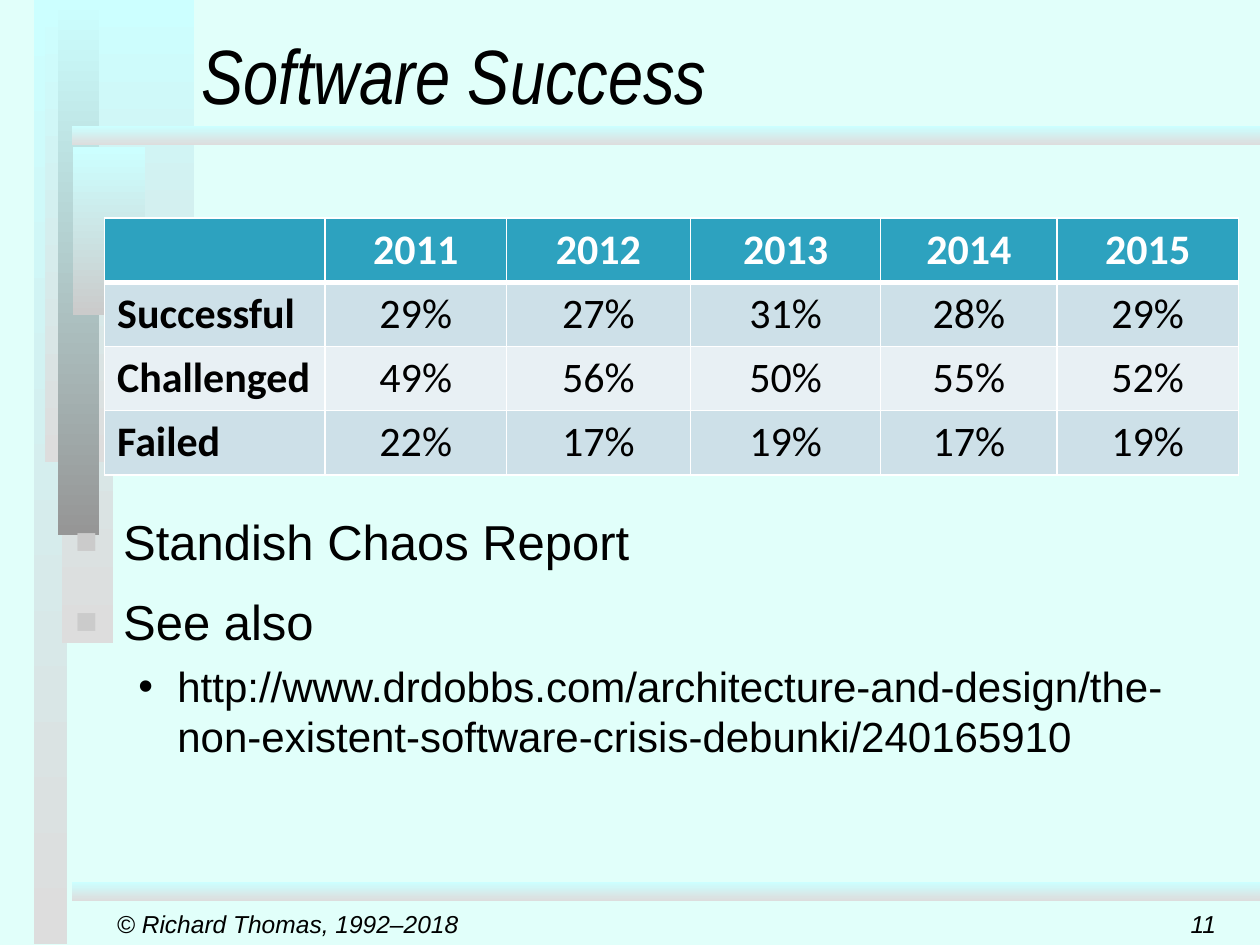
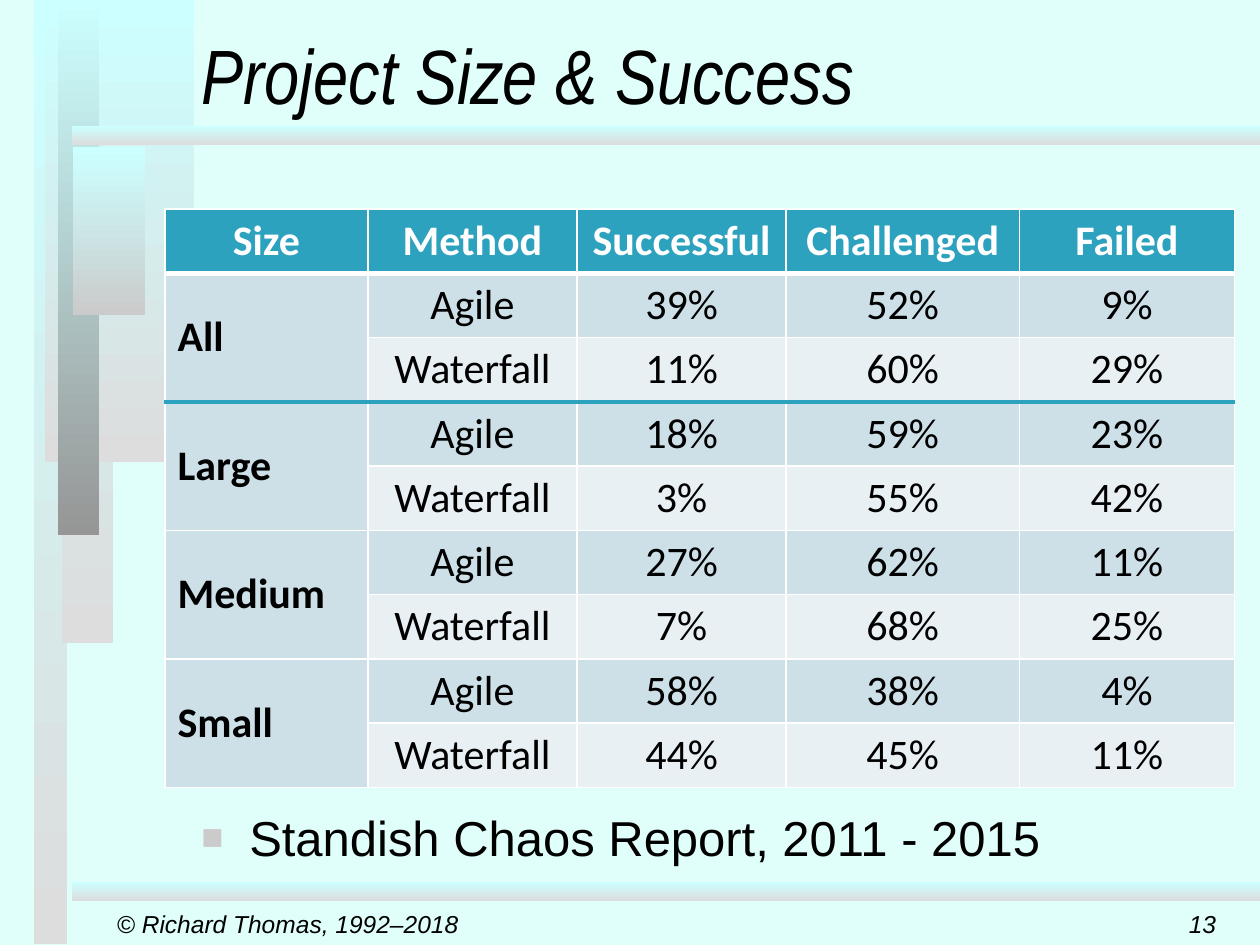
from dataclasses import dataclass
from typing import NamedTuple

import pptx
import pptx.dml.color
import pptx.enum.shapes
import pptx.enum.text
import pptx.oxml
import pptx.oxml.ns
import pptx.oxml.xmlchemy
import pptx.presentation
import pptx.slide
import pptx.table
import pptx.text.text
import pptx.util

Inches = pptx.util.Inches
Pt = pptx.util.Pt
RGBColor = pptx.dml.color.RGBColor
ALIGN = pptx.enum.text.PP_ALIGN
ANCHOR = pptx.enum.text.MSO_ANCHOR

# Shared colours
MINT = RGBColor(0xE1, 0xFF, 0xFA)
AQUA = RGBColor(0xCC, 0xFF, 0xFF)
PALE_GREY = RGBColor(0xDD, 0xDD, 0xDD)
MID_GREY = RGBColor(0xCB, 0xCB, 0xCB)
DARK_GREY = RGBColor(0x96, 0x96, 0x96)
BLACK = RGBColor(0, 0, 0)
WHITE = RGBColor(0xFF, 0xFF, 0xFF)
TEAL = RGBColor(0x2D, 0xA2, 0xBF)
ODD_ROW = RGBColor(0xCD, 0xE0, 0xE8)
EVEN_ROW = RGBColor(0xE8, 0xF0, 0xF4)

COPYRIGHT = "© Richard Thomas, 1992–2018"
ROW_HEIGHT = 0.51


class Box(NamedTuple):
    left: float
    top: float
    width: float
    height: float

    def lengths(self) -> list[pptx.util.Length]:
        return [Inches(value) for value in self]


class Band(NamedTuple):
    box: Box
    end: RGBColor = PALE_GREY


class TextStyle(NamedTuple):
    font: str
    size: int
    color: RGBColor = BLACK
    bold: bool = False
    italic: bool = False


class Level(NamedTuple):
    bullet: str
    color: RGBColor
    percent: int
    margin: float
    hanging: float
    before: int
    style: TextStyle


class Point(NamedTuple):
    text: str
    level: Level


@dataclass
class Grid:
    left: float
    top: float
    widths: list[float]
    rows: list[list[str]]
    group: int = 1  # body rows that share one row label
    ruled_row: int | None = None  # row closed by a teal rule


BANDS = [
    Band(Box(0.27, 0, 0.26, 7.49)),
    Band(Box(0.49, 0, 0.41, 5.1)),
    Band(Box(0.36, 0, 1.18, 3.67)),
    Band(Box(0.46, 0, 0.33, 4.25), DARK_GREY),
    Band(Box(0.58, 1.17, 0.57, 1.33), MID_GREY),
    Band(Box(0.57, 1, 9.43, 0.15)),
    Band(Box(0.57, 7, 9.43, 0.15)),
]

TITLE = TextStyle("Arial Narrow", 44, italic=True)
FOOTER = TextStyle("Arial", 14, italic=True)
HEADING_CELL = TextStyle("Calibri", 24, WHITE, bold=True)
LABEL_CELL = TextStyle("Calibri", 24, bold=True)
VALUE_CELL = TextStyle("Calibri", 24)
MAIN = Level("■", MID_GREY, 75, 0.38, 0.38, 12, TextStyle("Arial", 28))
SUB = Level("•", BLACK, 100, 0.81, 0.31, 6, TextStyle("Arial", 24))


def set_style(paragraph: pptx.text.text._Paragraph, style: TextStyle) -> None:
    font = paragraph.font
    font.name, font.size = style.font, Pt(style.size)
    font.bold, font.italic = style.bold, style.italic
    font.color.rgb = style.color


def add_child(parent: pptx.oxml.xmlchemy.BaseOxmlElement, tag: str,
              **attributes: str) -> pptx.oxml.xmlchemy.BaseOxmlElement:
    child = parent.makeelement(pptx.oxml.ns.qn(tag), attributes)
    parent.append(child)
    return child


def add_band(slide: pptx.slide.Slide, band: Band) -> None:
    bar = slide.shapes.add_shape(
        pptx.enum.shapes.MSO_SHAPE.RECTANGLE, *band.box.lengths())
    bar.shadow.inherit = False
    bar.line.fill.background()
    bar.fill.gradient()
    bar.fill.gradient_angle = 270
    for stop, color, position in zip(
            bar.fill.gradient_stops, (AQUA, band.end), (0, 1)):
        stop.color.rgb, stop.position = color, position


def add_text(slide: pptx.slide.Slide, box: Box, text: str, style: TextStyle,
             anchor: ANCHOR, align: ALIGN = ALIGN.LEFT) -> None:
    frame = slide.shapes.add_textbox(*box.lengths()).text_frame
    frame.word_wrap, frame.vertical_anchor = True, anchor
    paragraph = frame.paragraphs[0]
    paragraph.text, paragraph.alignment = text, align
    set_style(paragraph, style)


def add_points(slide: pptx.slide.Slide, box: Box, points: list[Point]) -> None:
    frame = slide.shapes.add_textbox(*box.lengths()).text_frame
    frame.word_wrap = True
    for index, (text, level) in enumerate(points):
        paragraph = frame.add_paragraph() if index else frame.paragraphs[0]
        paragraph.text = text
        properties = paragraph._p.get_or_add_pPr()
        properties.set("marL", str(Inches(level.margin)))
        properties.set("indent", str(-Inches(level.hanging)))
        bullet_color = add_child(properties, "a:buClr")
        add_child(bullet_color, "a:srgbClr", val=str(level.color))
        add_child(properties, "a:buSzPct", val=str(level.percent * 1000))
        add_child(properties, "a:buFont", typeface="Arial")
        add_child(properties, "a:buChar", char=level.bullet)
        if index:
            paragraph.space_before = Pt(level.before)
        set_style(paragraph, level.style)


def add_border(cell: pptx.table._Cell, side: str, color: RGBColor,
               points: int) -> None:
    line = add_child(cell._tc.get_or_add_tcPr(), f"a:ln{side}",
                     w=str(Pt(points)))
    fill = add_child(line, "a:solidFill")
    add_child(fill, "a:srgbClr", val=str(color))


def add_grid(slide: pptx.slide.Slide, grid: Grid) -> None:
    box = Box(grid.left, grid.top, sum(grid.widths),
              ROW_HEIGHT * len(grid.rows))
    table = slide.shapes.add_table(
        len(grid.rows), len(grid.widths), *box.lengths()).table
    table.first_row = table.horz_banding = False
    for column, width in zip(table.columns, grid.widths):
        column.width = Inches(width)
    if grid.group > 1:
        for top in range(1, len(grid.rows), grid.group):
            table.cell(top, 0).merge(table.cell(top + grid.group - 1, 0))

    # Rules below the heading row and the ruled row are heavier
    rules = {0: (WHITE, 3), grid.ruled_row: (TEAL, 3)}
    thin = (WHITE, 1)
    for row, texts in enumerate(grid.rows):
        for column, text in enumerate(texts):
            cell = table.cell(row, column)
            last = row + cell.span_height - 1 if cell.is_merge_origin else row
            add_border(cell, "L", *thin)
            add_border(cell, "R", *thin)
            add_border(cell, "T", *rules.get(row - 1, thin))
            add_border(cell, "B", *rules.get(last, thin))
            is_label = row > 0 and column == 0
            if row == 0:
                fill, style = TEAL, HEADING_CELL
            else:
                odd = row % 2 == 1 or cell.is_spanned
                fill = ODD_ROW if odd else EVEN_ROW
                style = LABEL_CELL if is_label else VALUE_CELL
            cell.fill.solid()
            cell.fill.fore_color.rgb = fill
            if cell.is_merge_origin:
                cell.vertical_anchor = ANCHOR.MIDDLE
            if text:
                paragraph = cell.text_frame.paragraphs[0]
                paragraph.text = text
                paragraph.alignment = ALIGN.LEFT if is_label else ALIGN.CENTER
                set_style(paragraph, style)


def add_base(deck: pptx.presentation.Presentation, title: str,
             number: int) -> pptx.slide.Slide:
    """Add a slide with the shared background, bands, title and footer."""
    slide = deck.slides.add_slide(deck.slide_layouts[6])
    slide.background.fill.solid()
    slide.background.fill.fore_color.rgb = MINT
    for band in BANDS:
        add_band(slide, band)
    add_text(slide, Box(1.5, 0, 8.5, 1), title, TITLE, ANCHOR.BOTTOM)
    add_text(slide, Box(0.83, 7.17, 3.2, 0.33), COPYRIGHT, FOOTER,
             ANCHOR.MIDDLE)
    add_text(slide, Box(7.67, 7.17, 2.08, 0.33), str(number), FOOTER,
             ANCHOR.MIDDLE, ALIGN.RIGHT)
    return slide


def main() -> None:
    deck = pptx.Presentation()
    deck.slide_width, deck.slide_height = Inches(10), Inches(7.5)

    # Outcomes by year
    success = add_base(deck, "Software Success", 11)
    add_points(success, Box(0.5, 4.01, 9, 2.47), [
        Point("Standish Chaos Report", MAIN),
        Point("See also", MAIN),
        Point("http://www.drdobbs.com/architecture-and-design/"
              "the-non-existent-software-crisis-debunki/240165910", SUB),
    ])
    add_grid(success, Grid(0.83, 1.73, [1.75, 1.44, 1.46, 1.51, 1.4, 1.44], [
        ["", "2011", "2012", "2013", "2014", "2015"],
        ["Successful", "29%", "27%", "31%", "28%", "29%"],
        ["Challenged", "49%", "56%", "50%", "55%", "52%"],
        ["Failed", "22%", "17%", "19%", "17%", "19%"],
    ]))

    # Outcomes by project size and method
    size = add_base(deck, "Project Size & Success", 13)
    add_points(size, Box(1.5, 6.36, 8.25, 0.93),
               [Point("Standish Chaos Report, 2011 - 2015", MAIN)])
    add_grid(size, Grid(1.31, 1.66, [1.61, 1.66, 1.66, 1.85, 1.71], [
        ["Size", "Method", "Successful", "Challenged", "Failed"],
        ["All", "Agile", "39%", "52%", "9%"],
        ["", "Waterfall", "11%", "60%", "29%"],
        ["Large", "Agile", "18%", "59%", "23%"],
        ["", "Waterfall", "3%", "55%", "42%"],
        ["Medium", "Agile", "27%", "62%", "11%"],
        ["", "Waterfall", "7%", "68%", "25%"],
        ["Small", "Agile", "58%", "38%", "4%"],
        ["", "Waterfall", "44%", "45%", "11%"],
    ], group=2, ruled_row=2))

    deck.save("out.pptx")


if __name__ == "__main__":
    main()
